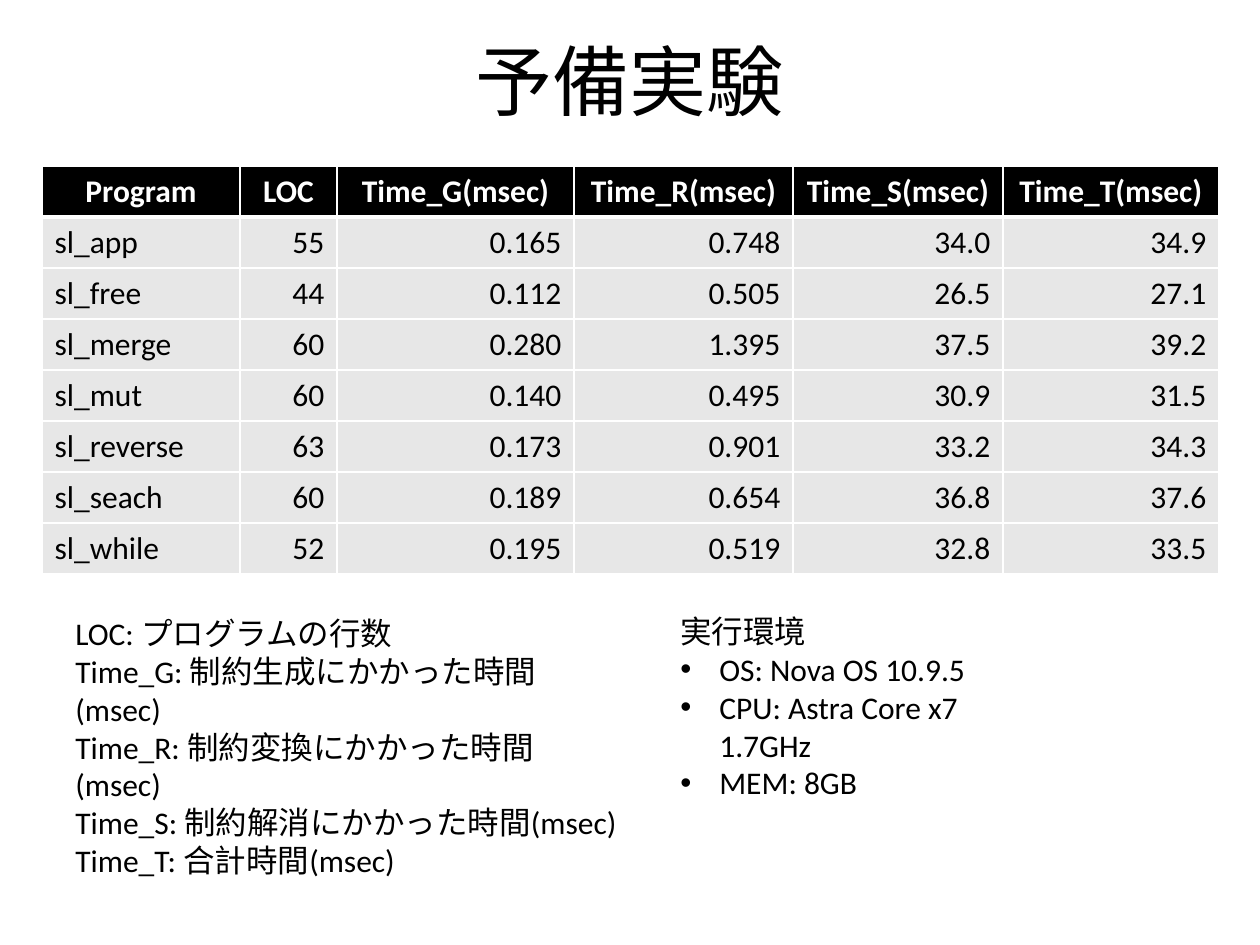
from lxml import etree
from pptx import Presentation, util as u
from pptx.dml.color import RGBColor
from pptx.enum import text
from pptx.oxml import ns

SCALE = 914400 / 126
FONT = "Calibri"
BLACK, WHITE, GREY = "000000", "FFFFFF", "E7E7E7"
LEFT, CENTER, RIGHT = text.PP_ALIGN.LEFT, text.PP_ALIGN.CENTER, text.PP_ALIGN.RIGHT

COLUMN_WIDTHS = [198, 97, 237, 219, 210, 216]
ROW_HEIGHT = 51
HEADERS = ["Program", "LOC"] + [f"Time_{stage}(msec)" for stage in "GRST"]
RESULTS = [
    ["sl_app", "55", "0.165", "0.748", "34.0", "34.9"],
    ["sl_free", "44", "0.112", "0.505", "26.5", "27.1"],
    ["sl_merge", "60", "0.280", "1.395", "37.5", "39.2"],
    ["sl_mut", "60", "0.140", "0.495", "30.9", "31.5"],
    ["sl_reverse", "63", "0.173", "0.901", "33.2", "34.3"],
    ["sl_seach", "60", "0.189", "0.654", "36.8", "37.6"],
    ["sl_while", "52", "0.195", "0.519", "32.8", "33.5"],
]
LEGEND = [
    "LOC: プログラムの行数",
    "Time_G: 制約生成にかかった時間(msec)",
    "Time_R: 制約変換にかかった時間(msec)",
    "Time_S: 制約解消にかかった時間(msec)",
    "Time_T: 合計時間(msec)",
]
ENVIRONMENT = ["OS: Nova OS 10.9.5", "CPU: Astra Core x7 1.7GHz", "MEM: 8GB"]


def px(length):
    """Turn pixels into EMU."""
    return u.Emu(round(length * SCALE))


def color(value):
    """Turn a hex string into a colour."""
    return RGBColor.from_string(value)


def write(para, words, size=18, ink=BLACK, bold=False, align=LEFT):
    """Add one styled run to a paragraph."""
    para.alignment = align
    span = para.add_run()
    span.text = words
    span.font.name = FONT
    span.font.size = u.Pt(size)
    span.font.bold = bold
    span.font.color.rgb = color(ink)


def add_bullet(para):
    """Give a paragraph a hanging round bullet."""
    props = para._p.get_or_add_pPr()
    props.set("marL", str(px(39)))
    props.set("indent", str(px(-39)))
    etree.SubElement(props, ns.qn("a:buFont"), typeface="Arial")
    etree.SubElement(props, ns.qn("a:buChar"), char="•")


def add_text(page, frame, lines, bullets_from=None, anchor=text.MSO_ANCHOR.TOP, **style):
    """Add a wrapped text box with one paragraph per line."""
    box = page.shapes.add_textbox(*map(px, frame)).text_frame
    box.word_wrap = True
    box.vertical_anchor = anchor
    for index, words in enumerate(lines):
        para = box.add_paragraph() if index else box.paragraphs[0]
        write(para, words, **style)
        if bullets_from is not None and index >= bullets_from:
            add_bullet(para)


def add_borders(cell, top, bottom):
    """Draw white lines on the four sides of a cell."""
    props = cell._tc.get_or_add_tcPr()
    for side, width in (("L", 1), ("R", 1), ("T", top), ("B", bottom)):
        line = etree.SubElement(props, ns.qn(f"a:ln{side}"), w=str(u.Pt(width)))
        fill = etree.SubElement(line, ns.qn("a:solidFill"))
        etree.SubElement(fill, ns.qn("a:srgbClr"), val=WHITE)


def fill_cell(cell, words, row, column):
    """Style a header or result cell and write its words."""
    header = row == 0
    add_borders(cell, 3 if row == 1 else 1, 3 if header else 1)
    cell.fill.solid()
    cell.fill.fore_color.rgb = color(BLACK if header else GREY)
    align = CENTER if header else RIGHT if column else LEFT
    write(cell.text_frame.paragraphs[0], words,
          ink=WHITE if header else BLACK, bold=header, align=align)


def add_results(page, left, top):
    """Add the table of measured times."""
    rows = [HEADERS] + RESULTS
    size = px(sum(COLUMN_WIDTHS)), px(ROW_HEIGHT * len(rows))
    table = page.shapes.add_table(len(rows), len(HEADERS), px(left), px(top), *size).table
    table.horz_banding = False
    for column, width in zip(table.columns, COLUMN_WIDTHS):
        column.width = px(width)
    for row, values in enumerate(rows):
        table.rows[row].height = px(ROW_HEIGHT)
        for column, words in enumerate(values):
            fill_cell(table.cell(row, column), words, row, column)


def main():
    """Build the slide and save it."""
    deck = Presentation()
    deck.slide_width, deck.slide_height = px(1260), px(945)
    page = deck.slides.add_slide(deck.slide_layouts[6])
    add_text(page, (63, 1, 1134, 158), ["予備実験"],
             anchor=text.MSO_ANCHOR.MIDDLE, size=44, align=CENTER)
    add_text(page, (63, 608, 567, 204), LEGEND)
    add_results(page, 42, 166)
    add_text(page, (668, 606, 392, 204), ["実行環境"] + ENVIRONMENT, bullets_from=1)
    deck.save("out.pptx")


if __name__ == "__main__":
    main()
